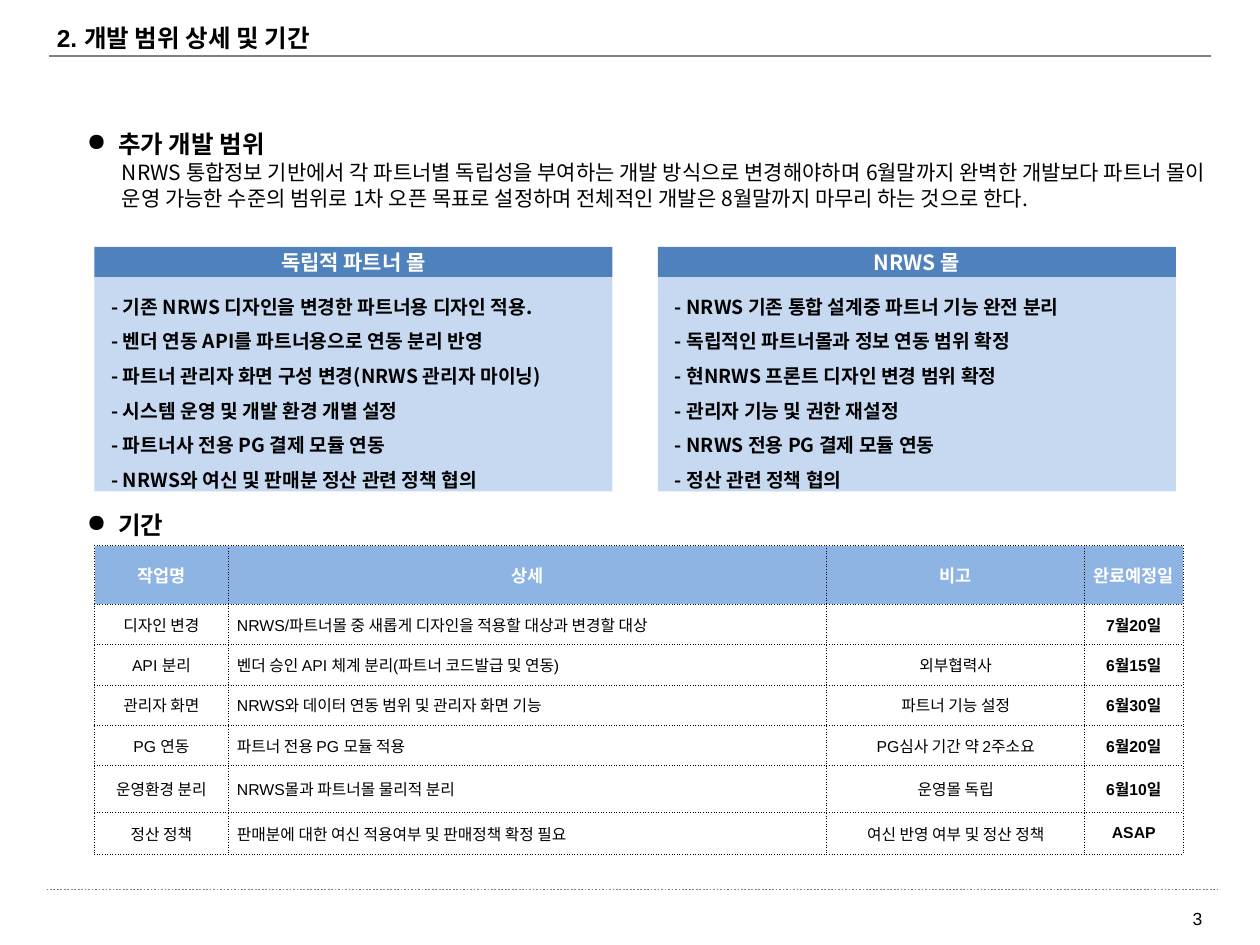
"""Builds the slide on development scope and schedule."""
from pptx import Presentation
from pptx.dml.color import RGBColor
from pptx.enum import dml, shapes, text
from pptx.oxml import parse_xml
from pptx.oxml.ns import nsdecls, qn
from pptx.util import Pt
from lxml import etree

BLACK, WHITE = RGBColor(0, 0, 0), RGBColor(255, 255, 255)
GRAY = RGBColor(0x80, 0x80, 0x80)
BLUE, PALE = RGBColor(0x4F, 0x81, 0xBD), RGBColor(0xC6, 0xD9, 0xF1)
HEAD = RGBColor(0x8E, 0xB4, 0xE3)
LATIN, KOREAN = "Arial", "Noto Sans CJK KR"
LEFT, MID, RIGHT = text.PP_ALIGN.LEFT, text.PP_ALIGN.CENTER, text.PP_ALIGN.RIGHT
CENTER, TOP = text.MSO_ANCHOR.MIDDLE, text.MSO_ANCHOR.TOP

TITLE = "2. 개발 범위 상세 및 기간"
TOPICS = [("추가 개발 범위", 67), ("기간", 284.4)]
INTRO = ("NRWS 통합정보 기반에서 각 파트너별 독립성을 부여하는 개발 방식으로 변경해야하며 "
         "6월말까지 완벽한 개발보다 파트너 몰이 운영 가능한 수준의 범위로 1차 오픈 목표로 "
         "설정하며 전체적인 개발은 8월말까지 마무리 하는 것으로 한다.")
MALLS = [
    ("독립적 파트너 몰", [
        "기존 NRWS 디자인을 변경한 파트너용 디자인 적용.",
        "벤더 연동 API를 파트너용으로 연동 분리 반영",
        "파트너 관리자 화면 구성 변경(NRWS 관리자 마이닝)",
        "시스템 운영 및 개발 환경 개별 설정",
        "파트너사 전용 PG 결제 모듈 연동",
        "NRWS와 여신 및 판매분 정산 관련 정책 협의"]),
    ("NRWS 몰", [
        "NRWS 기존 통합 설계중 파트너 기능 완전 분리",
        "독립적인 파트너몰과 정보 연동 범위 확정",
        "현NRWS 프론트 디자인 변경 범위 확정",
        "관리자 기능 및 권한 재설정",
        "NRWS 전용 PG 결제 모듈 연동",
        "정산 관련 정책 협의"]),
]
PLAN = [
    ("작업명", "상세", "비고", "완료예정일"),
    ("디자인 변경", "NRWS/파트너몰 중 새롭게 디자인을 적용할 대상과 변경할 대상", "", "7월20일"),
    ("API 분리", "벤더 승인 API 체계 분리(파트너 코드발급 및 연동)", "외부협력사", "6월15일"),
    ("관리자 화면", "NRWS와 데이터 연동 범위 및 관리자 화면 기능", "파트너 기능 설정", "6월30일"),
    ("PG 연동", "파트너 전용 PG 모듈 적용", "PG심사 기간 약 2주소요", "6월20일"),
    ("운영환경 분리", "NRWS몰과 파트너몰 물리적 분리", "운영몰 독립", "6월10일"),
    ("정산 정책", "판매분에 대한 여신 적용여부 및 판매정책 확정 필요", "여신 반영 여부 및 정산 정책", "ASAP"),
]
COLS = [76.4, 342, 147.4, 56.2]
ROWS = [33.6, 23, 23, 23, 23, 26.6, 24.4]

deck = Presentation()
deck.slide_width, deck.slide_height = Pt(720), Pt(540)
slide = deck.slides.add_slide(deck.slide_layouts[6])
tree = slide.shapes


def write(frame, lines, size, name=LATIN, color=BLACK, bold=False, align=LEFT, space=None):
    for i, line in enumerate(lines):
        para = frame.paragraphs[0] if i == 0 else frame.add_paragraph()
        para.text, para.alignment = line, align
        if space:
            para.line_spacing = space
        font = para.font
        font.size, font.name, font.bold = Pt(size), name, bold
        font.color.rgb = color
        latin = para._p.pPr.find(qn("a:defRPr")).find(qn("a:latin"))
        latin.addnext(parse_xml(f'<a:ea {nsdecls("a")} typeface="{KOREAN}"/>'))


def label(box, lines, size, anchor=TOP, inset=7.2, **look):
    part = tree.add_textbox(*map(Pt, box))
    frame = part.text_frame
    frame.word_wrap, frame.vertical_anchor = True, anchor
    frame.margin_left = Pt(inset)
    write(frame, lines, size, **look)
    return part


def panel(box, fill, lines, size, **look):
    part = label(box, lines, size, name=KOREAN, bold=True, **look)
    part.fill.solid()
    part.fill.fore_color.rgb = fill


def rule(x, end, y, dash=None):
    line = tree.add_connector(shapes.MSO_CONNECTOR.STRAIGHT, Pt(x), Pt(y), Pt(end), Pt(y))
    line.line.color.rgb, line.line.width = GRAY, Pt(1)
    if dash:
        line.line.dash_style = dash
    etree.SubElement(line._element.spPr, qn("a:effectLst"))


def topic(name, y):
    part = label((42.5, y, 504.7, 22.3), [name], 14, anchor=CENTER, bold=True, space=1.5)
    para = part.text_frame.paragraphs[0]
    para.space_before = Pt(2.8)
    props = para._p.pPr
    props.set("marL", str(Pt(18)))
    props.set("indent", str(-Pt(18)))
    props.find(qn("a:defRPr")).addprevious(parse_xml(f'<a:buChar {nsdecls("a")} char="●"/>'))


def border(cell):
    props = cell._tc.get_or_add_tcPr()
    for i, side in enumerate("LRTB"):
        props.insert(i, parse_xml(
            f'<a:ln{side} {nsdecls("a")} w="{Pt(0.5)}"><a:solidFill><a:srgbClr val="{BLACK}"/>'
            f'</a:solidFill><a:prstDash val="sysDot"/></a:ln{side}>'))


rule(28, 692, 32)
rule(26.6, 695.5, 508.3, dml.MSO_LINE.ROUND_DOT)
label((526.3, 510.5, 167.8, 28.8), ["3"], 10, anchor=CENTER, align=RIGHT)
label((29.5, 9.4, 656, 26), [TITLE], 14, inset=3, bold=True)
for name, y in TOPICS:
    topic(name, y)
label((62.6, 87.8, 635, 51), [INTRO], 12, name=KOREAN)

for i, (name, items) in enumerate(MALLS):
    x = 54 + 322 * i
    panel((x, 141.1, 296, 17.3), BLUE, [name], 12, anchor=CENTER, color=WHITE, align=MID)
    panel((x, 158.4, 296, 122.4), PALE, ["- " + item for item in items], 11, inset=9.7, space=1.5)

table = tree.add_table(len(ROWS), len(COLS), Pt(54), Pt(311.8), Pt(sum(COLS)), Pt(sum(ROWS))).table
for col, width in zip(table.columns, COLS):
    col.width = Pt(width)
for r, (row, high) in enumerate(zip(PLAN, ROWS)):
    table.rows[r].height = Pt(high)
    for c, value in enumerate(row):
        cell, top = table.cell(r, c), r == 0
        detail = c == 1 and not top
        cell.margin_left = Pt(5 if detail else 0)
        cell.margin_right = cell.margin_top = cell.margin_bottom = 0
        cell.vertical_anchor = CENTER
        border(cell)
        if top:
            cell.fill.solid()
            cell.fill.fore_color.rgb = HEAD
        else:
            cell.fill.background()
        write(cell.text_frame, [value], 10 if top else 9, color=WHITE if top else BLACK,
              bold=top or c == 3, align=LEFT if detail else MID)

deck.save("out.pptx")
